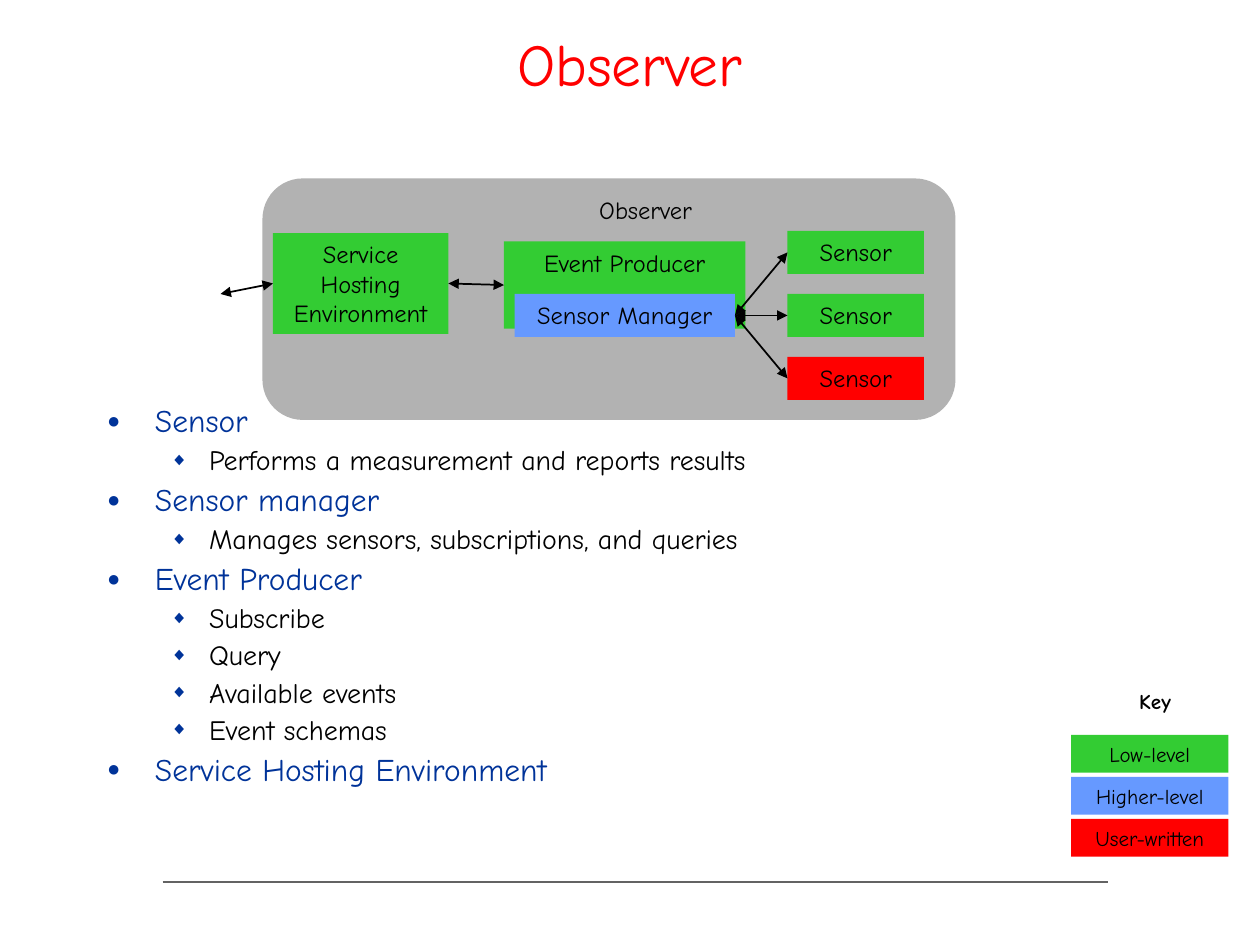
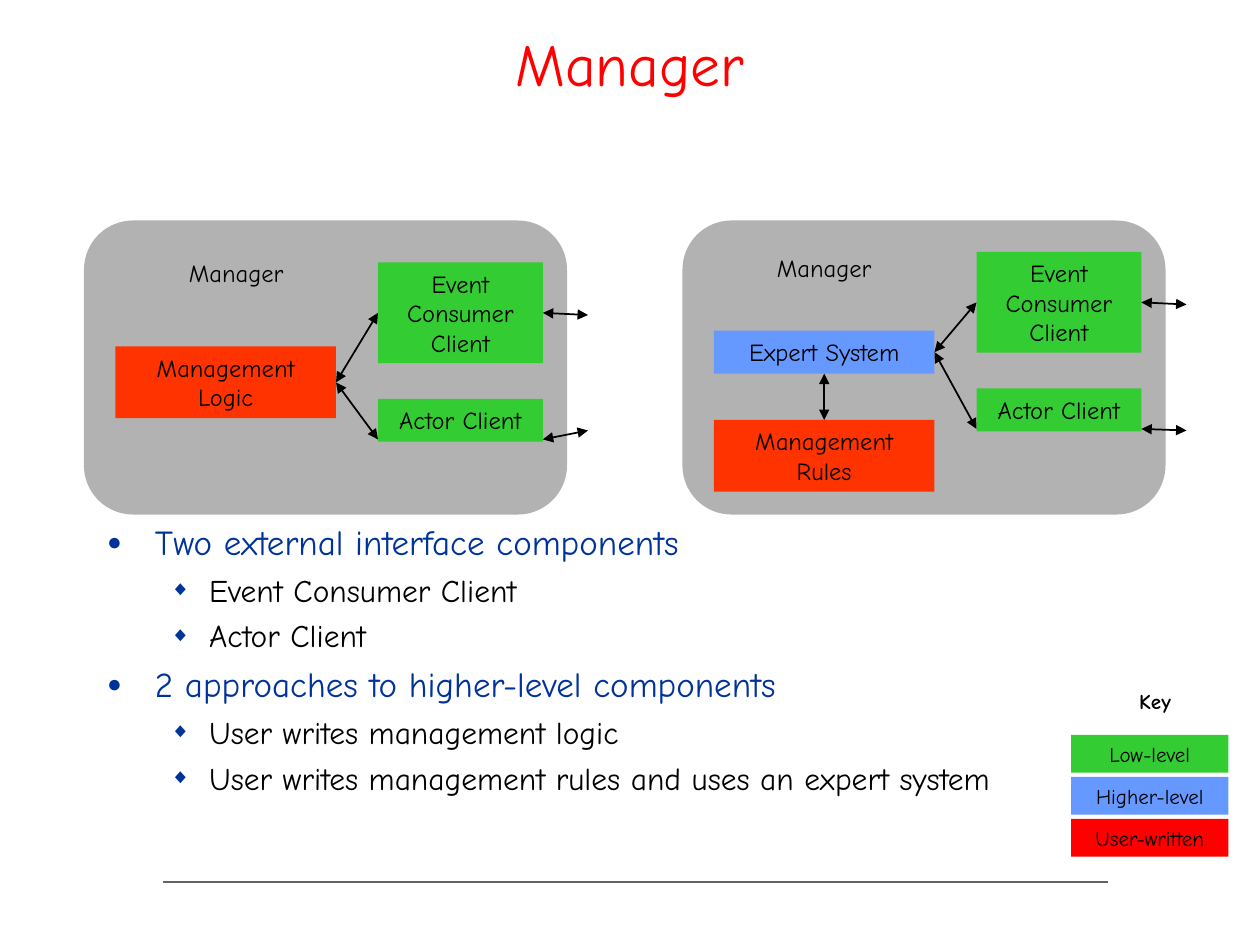
from dataclasses import dataclass
from typing import NamedTuple

from pptx import Presentation
from pptx.dml.color import RGBColor
from pptx.enum.shapes import MSO_CONNECTOR, MSO_SHAPE
from pptx.enum.text import MSO_ANCHOR, MSO_AUTO_SIZE, PP_ALIGN
from pptx.oxml.ns import qn
from pptx.util import Inches, Pt
from lxml.etree import SubElement

CELL = 1 / 12  # grid of 120 columns by 90 rows on a 10 x 7.5 inch slide
FONT = "Comic Neue"
BLACK, GREEN, BLUE, RED = "000000", "33CC33", "6699FF", "FF0000"
ORANGE, GREY, NAVY, RULE_GREY = "FF3300", "B2B2B2", "003399", "636363"
ONE_LINE, TWO_LINES, THREE_LINES = 4.08, 6.84, 9.6
KEY_ROWS = 3.6
TOP, LEFT, BOTTOM, RIGHT = range(4)
KEY_LEVELS = {"Low-level": GREEN, "Higher-level": BLUE, "User-written": RED}


class Area(NamedTuple):
    column: float
    row: float
    columns: float
    rows: float


class Point(NamedTuple):
    column: float
    row: float


class Joint(NamedTuple):
    shape: object
    side: int


@dataclass(frozen=True)
class Level:
    bullet: str
    bullet_percent: int
    margin: float
    hanging: float
    color: str


@dataclass(frozen=True)
class Topic:
    heading: str
    details: tuple = ()


LEVELS = (Level("●", 70, 0.38, 0.38, NAVY), Level("◆", 65, 0.81, 0.31, BLACK))


def rgb(value: str) -> RGBColor:
    return RGBColor.from_string(value)


def grid(*cells: float) -> list:
    return [Inches(cell * CELL) for cell in cells]


def apply(target, values: dict) -> None:
    for name, value in values.items():
        setattr(target, name, value)


def place(shape, area: Area) -> None:
    apply(shape, dict(zip(("left", "top", "width", "height"), grid(*area))))


def write(para, text: str, size: float, color: str, bold: bool = False) -> None:
    span = para.add_run()
    span.text = text
    apply(span.font, {"name": FONT, "size": Pt(size), "bold": bold})
    span.font.color.rgb = rgb(color)


def write_label(shape, text: str, size: float, bold: bool = False) -> None:
    apply(shape.text_frame, {"word_wrap": True, "vertical_anchor": MSO_ANCHOR.TOP,
                             "auto_size": MSO_AUTO_SIZE.SHAPE_TO_FIT_TEXT})
    para = shape.text_frame.paragraphs[0]
    para.alignment = PP_ALIGN.CENTER
    write(para, text, size, BLACK, bold)


def add_caption(page, area: Area, text: str, size: float = 14, bold: bool = False) -> None:
    write_label(page.shapes.add_textbox(*grid(*area)), text, size, bold)


def add_block(page, area: Area, color: str, preset=MSO_SHAPE.RECTANGLE):
    block = page.shapes.add_shape(preset, *grid(*area))
    block.shadow.inherit = False
    block.fill.solid()
    block.fill.fore_color.rgb = rgb(color)
    block.line.fill.background()
    return block


def add_box(page, area: Area, text: str, color: str, size: float = 14):
    box = add_block(page, area, color)
    write_label(box, text, size)
    return box


def add_panel(page, area: Area) -> None:
    panel = add_block(page, area, GREY, MSO_SHAPE.ROUNDED_RECTANGLE)
    panel.adjustments[0] = 0.167


def add_line(page, start: Point, end: Point, color: str, width: float):
    line = page.shapes.add_connector(MSO_CONNECTOR.STRAIGHT, *grid(*start, *end))
    line.line.color.rgb = rgb(color)
    line.line.width = Pt(width)
    SubElement(line.element.spPr, qn("a:effectLst"))
    return line


def add_arrow(page, start: Joint | Point, end: Joint | Point) -> None:
    """Draw a two-headed arrow whose ends are joined to boxes or left free."""
    free = [stop if isinstance(stop, Point) else Point(0, 0) for stop in (start, end)]
    arrow = add_line(page, *free, BLACK, 1)
    outline = arrow.element.spPr.find(qn("a:ln"))
    for tag in ("a:headEnd", "a:tailEnd"):
        SubElement(outline, qn(tag), type="triangle")
    for stop, connect in ((start, arrow.begin_connect), (end, arrow.end_connect)):
        if isinstance(stop, Joint):
            connect(*stop)


def add_bullet(para, level: Level) -> None:
    properties = para._p.get_or_add_pPr()
    properties.set("marL", str(Inches(level.margin)))
    properties.set("indent", str(-Inches(level.hanging)))
    color = SubElement(properties, qn("a:buClr"))
    SubElement(color, qn("a:srgbClr"), val=NAVY)
    SubElement(properties, qn("a:buSzPct"), val=str(level.bullet_percent * 1000))
    SubElement(properties, qn("a:buChar"), char=level.bullet)


def fill_title(page, text: str) -> None:
    title = page.shapes.title
    place(title, Area(9, 0, 102, 10))
    apply(title.text_frame, {"vertical_anchor": MSO_ANCHOR.BOTTOM, "word_wrap": True,
                             "auto_size": MSO_AUTO_SIZE.NONE})
    para = title.text_frame.paragraphs[0]
    para.alignment = PP_ALIGN.CENTER
    write(para, text, 34, RED)


def fill_body(page, area: Area, topics: list, sizes: tuple, spaces: tuple,
              line_spacing: float) -> None:
    body = page.placeholders[1]
    place(body, area)
    frame = body.text_frame
    apply(frame, {"word_wrap": True, "auto_size": MSO_AUTO_SIZE.NONE})
    lines = [line for topic in topics
             for line in ((0, topic.heading), *((1, detail) for detail in topic.details))]
    for index, (depth, text) in enumerate(lines):
        para = frame.add_paragraph() if index else frame.paragraphs[0]
        add_bullet(para, LEVELS[depth])
        apply(para, {"level": depth, "line_spacing": line_spacing,
                     "space_before": Pt(spaces[depth] if index else 0)})
        write(para, text, sizes[depth], LEVELS[depth].color)


def add_key(page) -> None:
    add_caption(page, Area(103, 65, 14, KEY_ROWS), "Key", 12, True)
    for index, (text, color) in enumerate(KEY_LEVELS.items()):
        add_box(page, Area(102, 70 + 4 * index, 15, KEY_ROWS), text, color, 12)


def add_page(deck, title: str):
    page = deck.slides.add_slide(deck.slide_layouts[1])
    fill_title(page, title)
    add_key(page)
    return page


def add_master_rule(deck, page) -> None:
    """Draw the footer rule and move it to the master that all slides share."""
    rule = add_line(page, Point(15.5, 84), Point(105.5, 84), RULE_GREY, 1.5)
    rule.element.nvCxnSpPr.cNvPr.set("id", "99")
    deck.slide_master.shapes.element.append(rule.element)


def build_observer(deck):
    page = add_page(deck, "Observer")
    topics = [
        Topic("Sensor", ("Performs a measurement and reports results",)),
        Topic("Sensor manager", ("Manages sensors, subscriptions, and queries",)),
        Topic("Event Producer", ("Subscribe", "Query", "Available events", "Event schemas")),
        Topic("Service Hosting Environment"),
    ]
    fill_body(page, Area(9, 38, 93, 41), topics, (18, 16), (4.5, 4), 0.9)
    add_panel(page, Area(25, 17, 66, 23))
    add_caption(page, Area(53, 18, 17, ONE_LINE), "Observer")
    hosting = add_box(page, Area(26, 22.2, 16.7, THREE_LINES),
                      "Service Hosting Environment", GREEN)
    producer = add_box(page, Area(48, 23, 23, 8.3), "Event Producer", GREEN)
    manager = add_box(page, Area(49, 28, 21, ONE_LINE), "Sensor Manager", BLUE)
    for index, color in enumerate((GREEN, GREEN, RED)):
        sensor = add_box(page, Area(75, 22 + 6 * index, 13, ONE_LINE), "Sensor", color)
        add_arrow(page, Joint(manager, RIGHT), Joint(sensor, LEFT))
    add_arrow(page, Joint(hosting, RIGHT), Joint(producer, LEFT))
    add_arrow(page, Point(21, 28), Joint(hosting, LEFT))
    return page


def add_interfaces(page, left: float, top: float, source) -> None:
    """Add the two client boxes of a manager and the arrows on both their sides."""
    inner, width, actor_row = left + 28, 15.7, top + 16.85
    consumer = add_box(page, Area(inner, top, width, THREE_LINES),
                       "Event Consumer Client", GREEN)
    add_box(page, Area(inner, top + 13, width, ONE_LINE), "Actor Client", GREEN)
    add_arrow(page, Joint(source, RIGHT), Joint(consumer, LEFT))
    add_arrow(page, Joint(source, RIGHT), Point(inner, actor_row))
    add_arrow(page, Joint(consumer, RIGHT), Point(left + 48, top + 5))
    add_arrow(page, Point(inner + width, actor_row), Point(left + 48, 41))


def build_manager(deck) -> None:
    page = add_page(deck, "Manager")
    topics = [
        Topic("Two external interface components", ("Event Consumer Client", "Actor Client")),
        Topic("2 approaches to higher-level components",
              ("User writes management logic",
               "User writes management rules and uses an expert system")),
    ]
    fill_body(page, Area(9, 49, 92, 35), topics, (20, 18), (5, 4.5), 1.0)
    logic_left, expert_left = 8, 65
    for left in (logic_left, expert_left):
        add_panel(page, Area(left, 21, 46, 28))
    add_caption(page, Area(logic_left + 6, 24, 17, ONE_LINE), "Manager")
    add_caption(page, Area(expert_left + 5, 23.5, 17, ONE_LINE), "Manager")
    logic = add_box(page, Area(logic_left + 3, 33, 21, TWO_LINES), "Management Logic", ORANGE)
    expert = add_box(page, Area(expert_left + 3, 31.5, 21, ONE_LINE), "Expert System", BLUE)
    rules = add_box(page, Area(expert_left + 3, 40, 21, TWO_LINES), "Management Rules", ORANGE)
    add_interfaces(page, logic_left, 25, logic)
    add_interfaces(page, expert_left, 24, expert)
    add_arrow(page, Joint(rules, TOP), Joint(expert, BOTTOM))


def main() -> None:
    deck = Presentation()
    deck.slide_width, deck.slide_height = grid(120, 90)
    add_master_rule(deck, build_observer(deck))
    build_manager(deck)
    deck.save("out.pptx")


if __name__ == "__main__":
    main()
